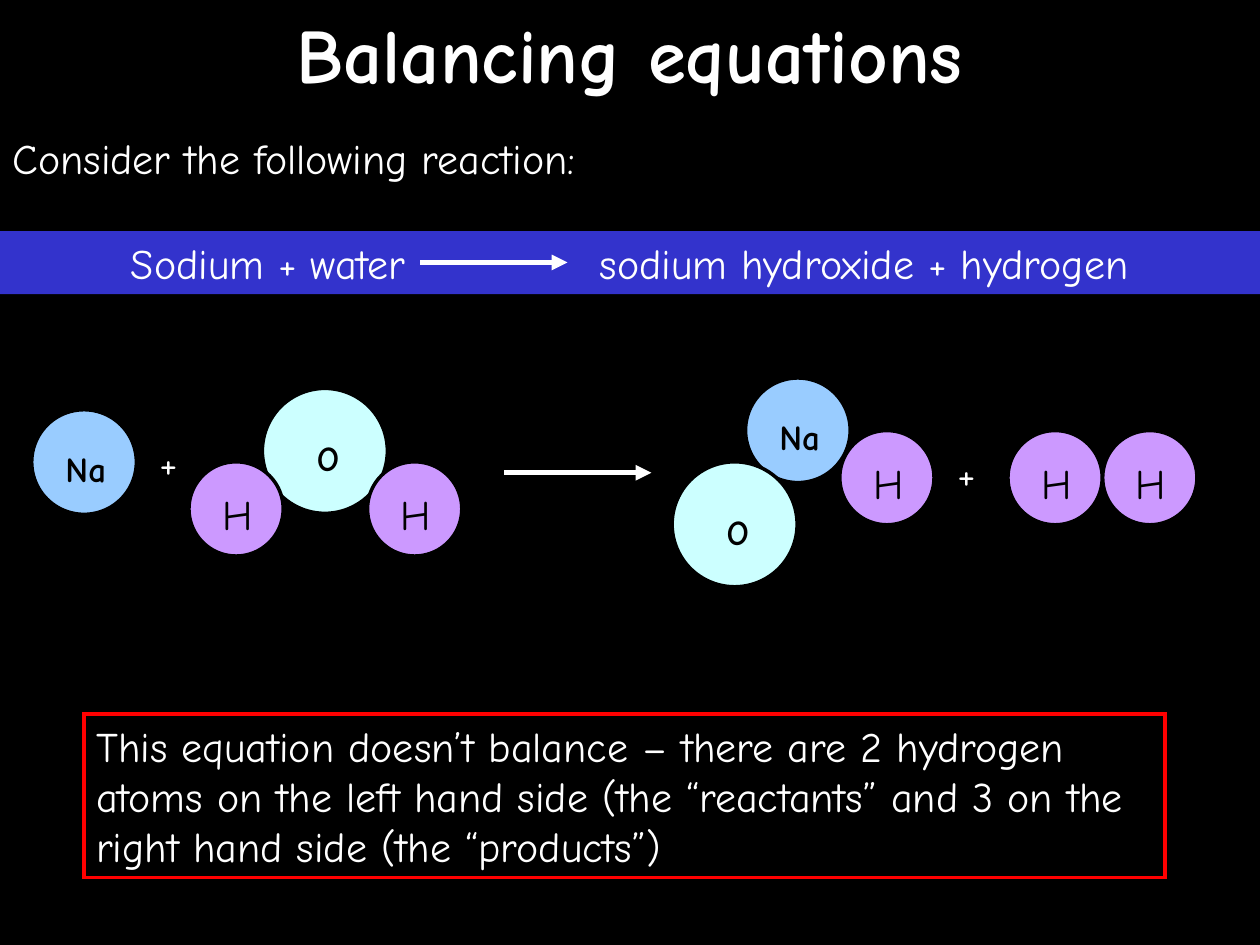
"""Build the slide on balancing the reaction of sodium with water."""
from dataclasses import dataclass
from typing import Optional

from lxml import etree
from pptx import Presentation
from pptx.dml.color import RGBColor
from pptx.enum.shapes import MSO_CONNECTOR, MSO_SHAPE
from pptx.enum.text import MSO_ANCHOR, MSO_AUTO_SIZE, PP_ALIGN
from pptx.oxml.ns import qn
from pptx.util import Cm, Pt

FONT = "Comic Neue"
COLOURS = {
    "background": "000000",
    "text": "FFFFFF",
    "atom_text": "000000",
    "sodium": "99CCFF",
    "oxygen": "CCFFFF",
    "hydrogen": "CC99FF",
    "band": "3333CC",
    "frame": "FF0000",
}


@dataclass(frozen=True)
class Element:
    symbol: str
    colour: str
    diameter: float
    label_dx: float
    label_dy: float
    label_width: float
    label_height: float
    size: int
    bold: bool


@dataclass(frozen=True)
class Atom:
    element: Element
    left: float
    top: float


SODIUM = Element("Na", "sodium", 2.11, 0.43, 0.63, 1.48, 1.11, 20, True)
OXYGEN = Element("O", "oxygen", 2.52, 0.85, 0.85, 1.48, 1.11, 20, True)
HYDROGEN = Element("H", "hydrogen", 1.9, 0.42, 0.42, 1.06, 1.27, 24, False)

MOLECULES = [
    [Atom(SODIUM, 0.64, 8.26)],
    [Atom(OXYGEN, 5.29, 7.83), Atom(HYDROGEN, 3.81, 9.31), Atom(HYDROGEN, 7.41, 9.31)],
    [Atom(HYDROGEN, 20.32, 8.68), Atom(HYDROGEN, 22.23, 8.68)],
    [Atom(SODIUM, 15.03, 7.62), Atom(OXYGEN, 13.55, 9.31), Atom(HYDROGEN, 16.93, 8.68)],
]


def colour(name: str) -> RGBColor:
    return RGBColor.from_string(COLOURS[name])


def write(shape, text: str, size: int = 24, ink: str = "text", bold: bool = False,
          align=PP_ALIGN.LEFT, anchor=MSO_ANCHOR.TOP, tab: Optional[float] = None) -> None:
    frame = shape.text_frame
    frame.word_wrap = True
    frame.auto_size = MSO_AUTO_SIZE.NONE
    frame.vertical_anchor = anchor
    frame.text = text
    paragraph = frame.paragraphs[0]
    paragraph.alignment = align
    if tab is not None:
        stops = etree.SubElement(paragraph._p.get_or_add_pPr(), qn("a:tabLst"))
        etree.SubElement(stops, qn("a:tab"), pos=str(Cm(tab)), algn="l")
    paragraph.font.name = FONT
    paragraph.font.size = Pt(size)
    paragraph.font.bold = bold
    paragraph.font.color.rgb = colour(ink)


def add_label(shapes, text: str, left: float, top: float, width: float, height: float, **style) -> None:
    write(shapes.add_textbox(Cm(left), Cm(top), Cm(width), Cm(height)), text, **style)


def add_plain(shapes, kind, left: float, top: float, width: float, height: float):
    shape = shapes.add_shape(kind, Cm(left), Cm(top), Cm(width), Cm(height))
    shape.shadow.inherit = False
    return shape


def add_atom(shapes, atom: Atom) -> None:
    element = atom.element
    ball = add_plain(shapes, MSO_SHAPE.OVAL, atom.left, atom.top, element.diameter, element.diameter)
    ball.fill.solid()
    ball.fill.fore_color.rgb = colour(element.colour)
    ball.line.color.rgb = colour("background")
    ball.line.width = Pt(2)
    add_label(shapes, element.symbol, atom.left + element.label_dx, atom.top + element.label_dy,
              element.label_width, element.label_height,
              size=element.size, ink="atom_text", bold=element.bold)


def add_arrow(shapes, left: float, y: float, length: float = 2.97) -> None:
    arrow = shapes.add_connector(MSO_CONNECTOR.STRAIGHT, Cm(left), Cm(y), Cm(left + length), Cm(y))
    arrow.line.color.rgb = colour("text")
    arrow.line.width = Pt(3)
    etree.SubElement(arrow.line._get_or_add_ln(), qn("a:tailEnd"), type="triangle")
    etree.SubElement(arrow._element.spPr, qn("a:effectLst"))


def add_word_equation(shapes, reactants: str, products: str) -> None:
    group = shapes.add_group_shape().shapes
    band = add_plain(group, MSO_SHAPE.RECTANGLE, 0, 4.66, 25.4, 1.27)
    band.fill.solid()
    band.fill.fore_color.rgb = colour("band")
    band.line.fill.background()
    band.text_frame.margin_left = Cm(2.64)
    write(band, f"{reactants}\t{products}", tab=9.45)
    add_arrow(group, 8.47, 5.29)


def add_conclusion(shapes, text: str) -> None:
    box = add_plain(shapes, MSO_SHAPE.RECTANGLE, 1.69, 14.39, 21.8, 3.3)
    box.fill.background()
    box.line.color.rgb = colour("frame")
    box.line.width = Pt(2)
    etree.SubElement(box.line._get_or_add_ln(), qn("a:miter"), lim="800000")
    write(box, text)


def main() -> None:
    deck = Presentation()
    deck.slide_width, deck.slide_height = Cm(25.4), Cm(19.05)
    slide = deck.slides.add_slide(deck.slide_layouts[5])
    slide.background.fill.solid()
    slide.background.fill.fore_color.rgb = colour("background")
    shapes = slide.shapes

    title = shapes.title
    title.left, title.top, title.width, title.height = Cm(0), Cm(0), Cm(25.4), Cm(2.12)
    write(title, "Balancing equations", size=44, bold=True,
          align=PP_ALIGN.CENTER, anchor=MSO_ANCHOR.MIDDLE)
    add_label(shapes, "Consider the following reaction:", 0, 2.54, 25.4, 1.27)

    for molecule in MOLECULES:
        group = shapes.add_group_shape().shapes
        for atom in molecule:
            add_atom(group, atom)

    add_word_equation(shapes, "Sodium + water", "sodium hydroxide + hydrogen")
    add_arrow(shapes, 10.16, 9.53)
    for left, top in [(2.96, 8.68), (19.05, 8.89)]:
        add_label(shapes, "+", left, top, 1.48, 1.27)
    add_conclusion(shapes, "This equation doesn’t balance – there are 2 hydrogen atoms on the left hand "
                           "side (the “reactants” and 3 on the right hand side (the “products”)")
    deck.save("out.pptx")


if __name__ == "__main__":
    main()
